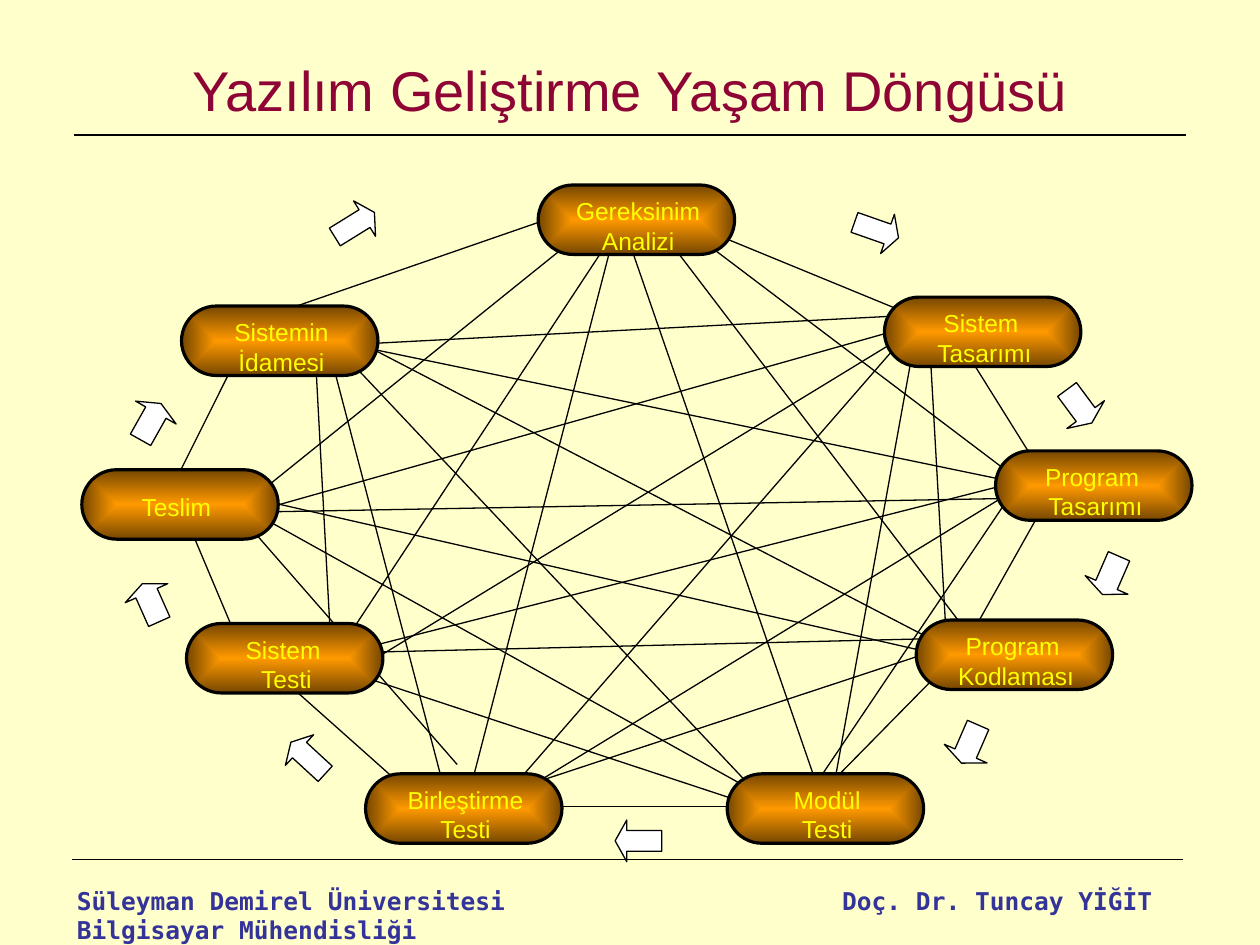
from lxml.etree import SubElement
from pptx import Presentation
from pptx.dml.color import RGBColor
from pptx.enum.shapes import MSO_CONNECTOR, MSO_SHAPE
from pptx.enum.text import MSO_ANCHOR, PP_ALIGN
from pptx.oxml.ns import qn
from pptx.util import Cm, Pt
from math import radians, sin

# Text formats
TITLE = {"size": Pt(32), "name": "Arial", "color": "8E0435"}
LABEL = {"size": Pt(14), "name": "Arial", "color": "FFFF00"}
FOOT = {"size": Pt(14), "name": "DejaVu Sans Mono", "bold": True, "color": "333399"}

# Stages in cycle order: left, top, lines of the label
STAGES = [
    (10.85, 3.73, ["Gereksinim Analizi"]),
    (17.83, 5.99, ["Sistem ", "Tasarımı"]),
    (20.07, 9.09, ["Program ", "Tasarımı"]),
    (18.47, 12.5, ["Program ", "Kodlaması"]),
    (14.66, 15.6, ["Modül", "Testi"]),
    (7.37, 15.6, ["Birleştirme", "Testi"]),
    (3.76, 12.57, ["Sistem ", "Testi"]),
    (1.65, 9.47, ["Teslim"]),
    (3.66, 6.17, ["Sistemin", "İdamesi"]),
]

# Arrows round the cycle: centre x, centre y, turn in degrees
ARROWS = [
    (17.67, 4.64, 19.3), (21.76, 8.19, 53.5), (22.39, 11.6, 113.5),
    (19.55, 15, 113.5), (12.87, 16.95, 180), (6.21, 15.28, 222.6),
    (3.04, 12.15, 245.9), (3.04, 8.5, 299.4), (7.15, 4.53, 328.2),
]

# Links between stages, as column and row of each end on the grid
LINKS = [
    # from Gereksinim Analizi
    (45, 1, 58, 7), (45, 2, 65, 19), (42, 1, 61, 29), (40, 2, 52, 41),
    (39, 1, 30, 40), (39, 1, 22, 30), (37, 1, 16, 20), (35, 0, 17, 7),
    # from Sistem Tasarımı
    (61, 9, 66, 18), (59, 9, 60, 29), (58, 9, 53, 40), (57, 9, 33, 40),
    (58, 8, 23, 32), (57, 8, 16, 21), (57, 7, 23, 9),
    # from Program Tasarımı
    (66, 21, 62, 29), (64, 20, 52, 40), (65, 19, 33, 41), (64, 19, 22, 31),
    (65, 20, 16, 21), (65, 19, 22, 9),
    # from Program Kodlaması
    (60, 32, 53, 40), (59, 31, 32, 41), (60, 30, 23, 31), (59, 31, 16, 20),
    (59, 30, 23, 9),
    # from Modül Testi
    (47, 42, 35, 42), (48, 42, 21, 32), (48, 41, 16, 21), (48, 41, 22, 10),
    # among the stages on the left
    (26, 41, 17, 32), (29, 39, 15, 21), (28, 40, 21, 10), (15, 30, 12, 22),
    (21, 31, 20, 10), (11, 19, 15, 10),
]


def paint(hue):
    return RGBColor.from_string(hue)


def grid(col, row):
    """Place in cm: 80 columns over the page, 42 rows over the cycle."""
    return 0.01 + col * 25.4 / 80, 4.39 + row * 11.87 / 42


def edge(item, width):
    item.line.color.rgb = paint("000000")
    item.line.width = Pt(width)


def add_line(slide, start, end):
    ends = [Cm(v) for v in (*start, *end)]
    line = slide.shapes.add_connector(MSO_CONNECTOR.STRAIGHT, *ends)
    edge(line, 0.75)
    SubElement(line._element.spPr, qn("a:effectLst"))


def add_text(slide, box, lines, style, align, anchor=MSO_ANCHOR.TOP):
    frame = slide.shapes.add_textbox(*[Cm(v) for v in box]).text_frame
    frame.word_wrap = True
    frame.vertical_anchor = anchor
    for num, text in enumerate(lines):
        para = frame.add_paragraph() if num else frame.paragraphs[0]
        para.alignment = align
        run = para.add_run()
        run.text = text
        for key, val in style.items():
            if key == "color":
                run.font.color.rgb = paint(val)
            else:
                setattr(run.font, key, val)


def add_shape(slide, kind, box, width):
    shape = slide.shapes.add_shape(kind, *[Cm(v) for v in box])
    shape.shadow.inherit = False
    edge(shape, width)
    return shape


def glow(shape, inner, outer):
    """Fill with a gradient that runs from the centre to the sides."""
    shape.fill.gradient()
    for stop, hue in zip(shape.fill.gradient_stops, (inner, outer)):
        stop.color.rgb = paint(hue)
    grad = shape._element.spPr.find(qn("a:gradFill"))
    grad.remove(grad.find(qn("a:lin")))
    path = SubElement(grad, qn("a:path"), {"path": "rect"})
    SubElement(path, qn("a:fillToRect"), {side: "50000" for side in "ltrb"})


def add_stage(slide, left, top, lines):
    pill = add_shape(slide, MSO_SHAPE.ROUNDED_RECTANGLE, (left, top, 3.96, 1.4), 1.81)
    pill.adjustments[0] = 0.5
    glow(pill, "FF9900", "764700")
    # A one-word label sits lower, at mid-height
    dx, dy = (-0.15, 0.33) if lines == ["Teslim"] else (-0.04, 0.1)
    add_text(slide, (left + dx, top + dy, 4.11, 1.42), lines, LABEL, PP_ALIGN.CENTER)


def add_arrow(slide, x, y, turn):
    steep = abs(sin(radians(turn))) > 0.75
    wide, high = (0.84, 0.94) if steep else (0.94, 0.84)
    box = (x - wide / 2, y - high / 2, wide, high)
    arrow = add_shape(slide, MSO_SHAPE.RIGHT_ARROW, box, 0.75)
    arrow.adjustments[1] = 0.25 * wide / min(wide, high)
    arrow.rotation = turn
    arrow.fill.solid()
    arrow.fill.fore_color.rgb = paint("FFFFFF")


def main():
    deck = Presentation()
    deck.slide_width, deck.slide_height = Cm(25.4), Cm(19.05)
    slide = deck.slides.add_slide(deck.slide_layouts[6])
    slide.background.fill.solid()
    slide.background.fill.fore_color.rgb = paint("FFFFCC")

    # Rules and footer
    add_line(slide, (1.5, 2.72), (23.9, 2.72))
    add_line(slide, (1.45, 17.32), (23.85, 17.32))
    add_text(slide, (1.3, 17.73, 10.8, 1.45),
             ["Süleyman Demirel Üniversitesi Bilgisayar Mühendisliği"],
             FOOT, PP_ALIGN.LEFT)
    add_text(slide, (15.9, 17.73, 7.59, 0.86), ["Doç. Dr. Tuncay YİĞİT"],
             FOOT, PP_ALIGN.RIGHT)

    # Life cycle: links at the back, then stages and arrows
    for link in LINKS:
        add_line(slide, grid(*link[:2]), grid(*link[2:]))
    for stage in STAGES:
        add_stage(slide, *stage)
    for arrow in ARROWS:
        add_arrow(slide, *arrow)

    # Title
    add_text(slide, (1.27, 0.2, 22.86, 3.18), ["Yazılım Geliştirme Yaşam Döngüsü"],
             TITLE, PP_ALIGN.CENTER, MSO_ANCHOR.MIDDLE)
    deck.save("out.pptx")


if __name__ == "__main__":
    main()
